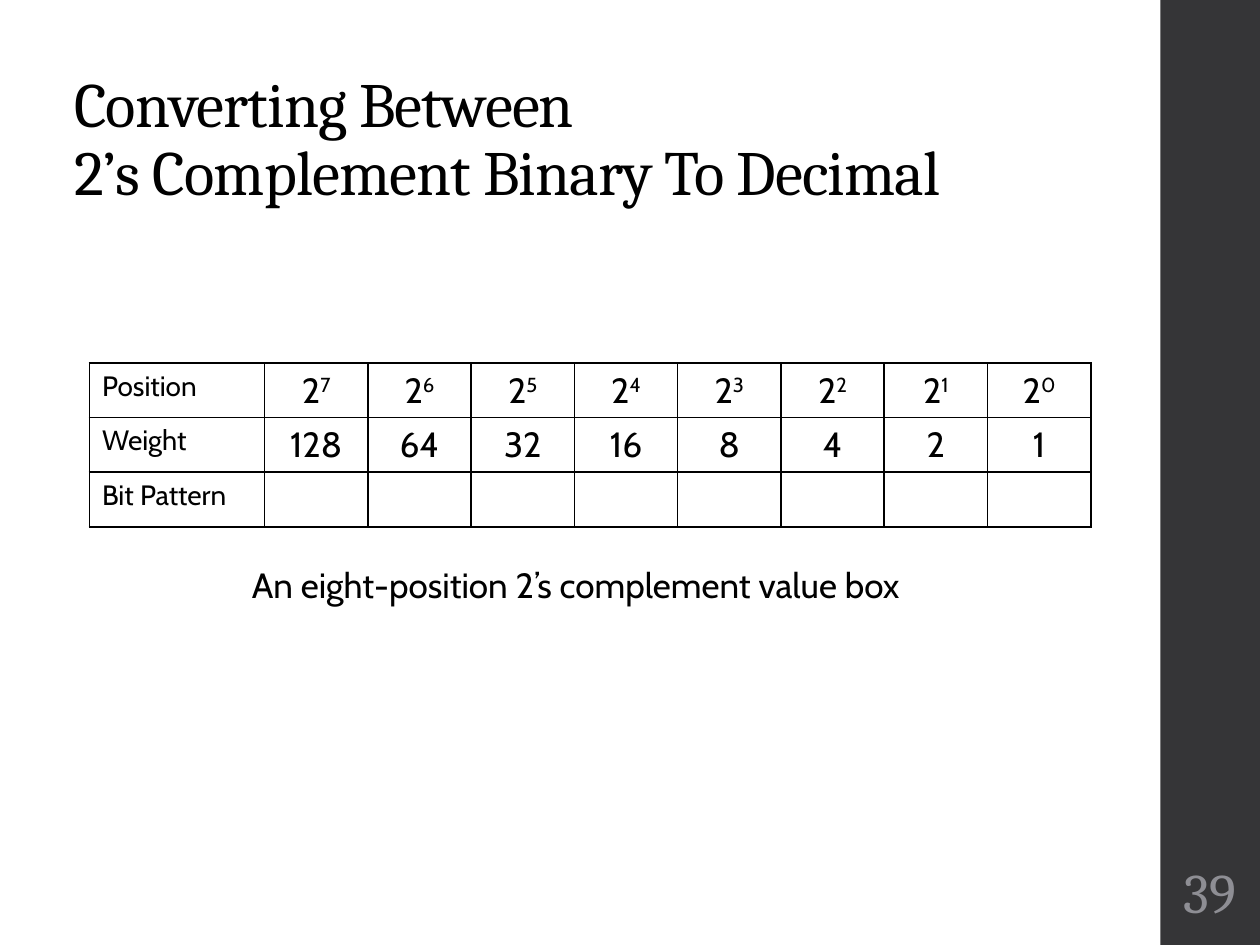
from dataclasses import dataclass

from lxml.etree import SubElement
from pptx import Presentation
from pptx.dml.color import RGBColor
from pptx.enum.shapes import MSO_SHAPE as Shape
from pptx.enum.text import MSO_ANCHOR as Anchor, PP_ALIGN as Align
from pptx.oxml.ns import qn
from pptx.util import Inches, Pt

WIDTH, HEIGHT = Inches(10), Inches(7.5)
COLUMNS, ROWS = 100, 75
HEAD_FONT, BODY_FONT = "Cambria", "Cabin"
BLACK, WHITE, CHARCOAL, GREY = "000000", "FFFFFF", "353537", "8E8E94"
BITS = range(7, -1, -1)


@dataclass(frozen=True)
class Box:
    """An area in columns and rows of the slide grid."""
    left: float
    top: float
    width: float
    height: float

    def emu(self) -> tuple[int, int, int, int]:
        """Return left, top, width and height as slide lengths."""
        return col(self.left), row(self.top), col(self.width), row(self.height)


@dataclass(frozen=True)
class Label:
    """A cell text with an optional exponent."""
    text: str = ""
    power: str = ""


def col(n: float) -> int:
    """Return the width of n grid columns."""
    return int(WIDTH * n / COLUMNS)


def row(n: float) -> int:
    """Return the height of n grid rows."""
    return int(HEIGHT * n / ROWS)


def color(value: str) -> RGBColor:
    """Turn a hex string into a colour."""
    return RGBColor.from_string(value)


def write(p, text: str, *, size: float, font: str = BODY_FONT, fill: str = BLACK,
          align=Align.LEFT, raised: int = 0, spacing: float = 0) -> None:
    """Add formatted text to a paragraph, breaking lines at newlines."""
    p.alignment = align
    for i, line in enumerate(text.split("\n")):
        if i:
            p.add_line_break()
        r = p.add_run()
        r.text = line
        r.font.size, r.font.name = Pt(size), font
        r.font.color.rgb = color(fill)
        if raised:
            r.font._element.set("baseline", str(raised * 1000))
        if spacing:
            r.font._element.set("spc", str(int(spacing * 100)))


def add_text(s, box: Box, text: str, *, anchor=Anchor.TOP, wrap: bool = True,
             side: float = 1, line_spacing: float = 1, **style) -> None:
    """Add a text box with one paragraph."""
    tf = s.shapes.add_textbox(*box.emu()).text_frame
    tf.word_wrap, tf.vertical_anchor = wrap, anchor
    tf.margin_left = tf.margin_right = col(side)
    p = tf.paragraphs[0]
    p.line_spacing = line_spacing
    write(p, text, **style)


def add_band(s, box: Box, fill: str) -> None:
    """Add a plain filled rectangle."""
    sp = s.shapes.add_shape(Shape.RECTANGLE, *box.emu())
    sp.shadow.inherit = False
    sp.fill.solid()
    sp.fill.fore_color.rgb = color(fill)
    sp.line.fill.background()


def add_borders(cell, fill: str, width: float) -> None:
    """Draw a solid line on each side of a cell."""
    tc_pr = cell._tc.get_or_add_tcPr()
    for i, side in enumerate(("lnL", "lnR", "lnT", "lnB")):
        ln = tc_pr.makeelement(qn(f"a:{side}"), {"w": str(Pt(width))})
        solid = SubElement(ln, qn("a:solidFill"))
        SubElement(solid, qn("a:srgbClr"), val=fill)
        tc_pr.insert(i, ln)


def fill_cell(cell, label: Label, *, size: float, align) -> None:
    """Write a label in a bordered cell and keep the size in empty ones."""
    cell.fill.background()
    add_borders(cell, BLACK, 1)
    p = cell.text_frame.paragraphs[0]
    if label.text:
        write(p, label.text, size=size, align=align)
    else:
        end = SubElement(p._p, qn("a:endParaRPr"), sz=str(size * 100))
        SubElement(end, qn("a:latin"), typeface=BODY_FONT)
    if label.power:
        write(p, label.power, size=size, align=align, raised=30)


def add_value_box(s, box: Box, head_width: float, rows: list[list[Label]]) -> None:
    """Add a table with a wide first column and equal bit columns."""
    n = len(rows[0])
    table = s.shapes.add_table(len(rows), n, *box.emu()).table
    table.first_row = table.horz_banding = False
    for i, column in enumerate(table.columns):
        column.width = col((box.width - head_width) / (n - 1) if i else head_width)
    for i, labels in enumerate(rows):
        table.rows[i].height = row(box.height / len(rows))
        for j, label in enumerate(labels):
            fill_cell(table.cell(i, j), label, size=20 if j else 16,
                      align=Align.CENTER if j else Align.LEFT)


def main() -> None:
    """Build and save the slide."""
    prs = Presentation()
    prs.slide_width, prs.slide_height = WIDTH, HEIGHT
    s = prs.slides.add_slide(prs.slide_layouts[6])
    s.background.fill.solid()
    s.background.fill.fore_color.rgb = color(WHITE)

    add_band(s, Box(92.1, 0, 7.9, ROWS), CHARCOAL)
    add_text(s, Box(4.9, 2.6, 86.9, 14.5),
             "Converting Between\n2’s Complement Binary To Decimal",
             anchor=Anchor.BOTTOM, line_spacing=0.9, size=36, font=HEAD_FONT,
             spacing=-0.5)
    add_text(s, Box(19, 44.2, 55.8, 4.4),
             "An eight-position 2’s complement value box", wrap=False, size=20)
    add_value_box(s, Box(7.1, 28.8, 79.5, 12.2), 13.9, [
        [Label("Position"), *(Label("2", str(b)) for b in BITS)],
        [Label("Weight"), *(Label(str(2 ** b)) for b in BITS)],
        [Label("Bit Pattern"), *(Label() for _ in BITS)],
    ])
    add_text(s, Box(92.3, 67.5, 7.5, 6.5), "39", anchor=Anchor.MIDDLE, side=0.3,
             size=32, font=HEAD_FONT, fill=GREY, align=Align.CENTER)
    prs.save("out.pptx")


if __name__ == "__main__":
    main()
